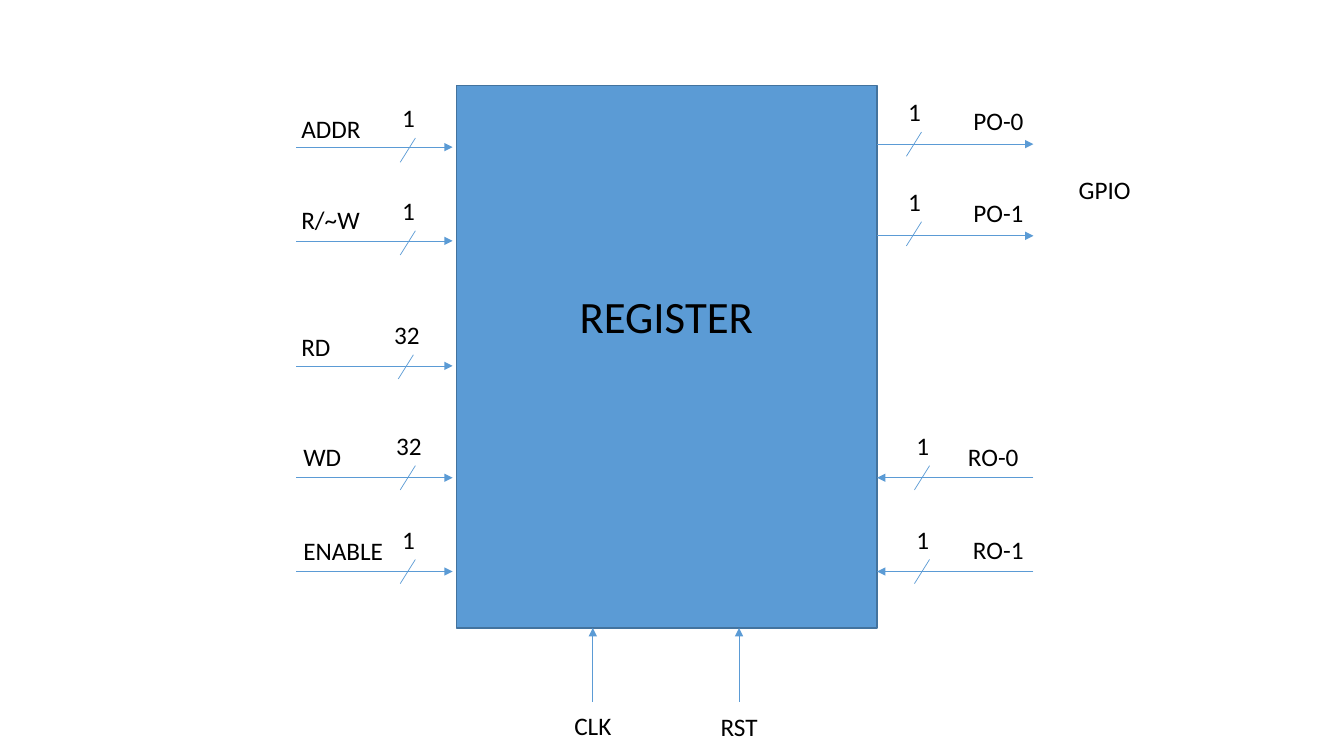
"""Build a one-slide block diagram of a register with its signal pins."""
from dataclasses import dataclass

from lxml.etree import SubElement
from pptx import Presentation
from pptx.dml.color import RGBColor
from pptx.enum.shapes import MSO_CONNECTOR as Connector, MSO_SHAPE as Shape
from pptx.enum.text import MSO_AUTO_SIZE as AutoSize, PP_ALIGN as Align
from pptx.oxml.ns import qn
from pptx.slide import Slide
from pptx.util import Inches, Pt


@dataclass(frozen=True)
class Theme:
    """Colours, font and sizes of the diagram."""
    block: RGBColor = RGBColor(0x5B, 0x9B, 0xD5)
    outline: RGBColor = RGBColor(0x43, 0x73, 0x9E)
    ink: RGBColor = RGBColor(0, 0, 0)
    font: str = "Calibri"
    label: Pt = Pt(18)
    heading: Pt = Pt(32)
    wire: Pt = Pt(0.5)
    border: Pt = Pt(1)


@dataclass(frozen=True)
class Side:
    """Horizontal run and label alignment of the wires on one side."""
    start: float
    end: float
    align: Align


@dataclass(frozen=True)
class Pin:
    """A horizontal signal with its bus-width mark, in inches."""
    name: str
    side: Side
    y: float
    label_left: float
    label_top: float
    bits: str
    slash_left: float
    slash_top: float


@dataclass(frozen=True)
class Control:
    """A vertical signal that enters the block from below, in inches."""
    name: str
    x: float
    label_top: float


THEME = Theme()
BLOCK_LEFT, BLOCK_TOP, BLOCK_WIDTH, BLOCK_HEIGHT = 4.53, 0.85, 4.17, 5.38
BLOCK_RIGHT = BLOCK_LEFT + BLOCK_WIDTH
LABEL_WIDTH, LABEL_HEIGHT = 1.21, 0.4
SLASH_WIDTH, SLASH_HEIGHT = 0.15, 0.24
BITS_RISE = 0.4
BITS_LAYOUT = {"1": (0.08, 0.43), "32": (0.14, 0.6)}

INPUT = Side(2.94, 4.49, Align.LEFT)
PORT_OUT = Side(BLOCK_RIGHT, 10.25, Align.RIGHT)
PORT_IN = Side(10.25, BLOCK_RIGHT, Align.RIGHT)

PINS = [
    Pin("ADDR", INPUT, 1.46, 2.89, 1.08, "1", 3.97, 1.37),
    Pin("R/~W", INPUT, 2.39, 2.89, 1.98, "1", 3.97, 2.29),
    Pin("RD", INPUT, 3.63, 2.89, 3.24, "32", 3.95, 3.52),
    Pin("WD", INPUT, 4.74, 2.91, 4.33, "32", 3.97, 4.62),
    Pin("ENABLE", INPUT, 5.67, 2.91, 5.26, "1", 3.97, 5.55),
    Pin("PO-0", PORT_OUT, 1.43, 9.04, 1.0, "1", 8.99, 1.31),
    Pin("PO-1", PORT_OUT, 2.34, 9.04, 1.91, "1", 8.99, 2.2),
    Pin("RO-0", PORT_IN, 4.74, 8.99, 4.33, "1", 9.07, 4.62),
    Pin("RO-1", PORT_IN, 5.67, 9.04, 5.25, "1", 9.07, 5.55),
]
CONTROLS = [Control("CLK", 5.88, 7.0), Control("RST", 7.33, 7.01)]


def apply_format(target: object, values: dict) -> None:
    """Set each named attribute on the target."""
    for name, value in values.items():
        setattr(target, name, value)


def add_label(slide: Slide, text: str, left: float, top: float,
              width: float = LABEL_WIDTH, height: float = LABEL_HEIGHT,
              align: Align = Align.LEFT, size: Pt = THEME.label) -> None:
    """Add a wrapped text label."""
    label = slide.shapes.add_textbox(
        Inches(left), Inches(top), Inches(width), Inches(height))
    frame = label.text_frame
    apply_format(frame, {"word_wrap": True, "auto_size": AutoSize.SHAPE_TO_FIT_TEXT})
    paragraph = frame.paragraphs[0]
    paragraph.alignment = align
    run = paragraph.add_run()
    run.text = text
    apply_format(run.font, {"name": THEME.font, "size": size})
    run.font.color.rgb = THEME.ink


def add_wire(slide: Slide, x1: float, y1: float, x2: float, y2: float,
             arrow: bool = True) -> None:
    """Add a thin line, with an arrowhead at its end if asked."""
    wire = slide.shapes.add_connector(
        Connector.STRAIGHT, Inches(x1), Inches(y1), Inches(x2), Inches(y2))
    wire.line.width = THEME.wire
    wire.line.color.rgb = THEME.block
    if arrow:
        SubElement(wire.line._get_or_add_ln(), qn("a:tailEnd"), type="triangle")
    SubElement(wire._element.spPr, qn("a:effectLst"))


def add_register(slide: Slide) -> None:
    """Add the register block and its heading."""
    register = slide.shapes.add_shape(
        Shape.RECTANGLE, Inches(BLOCK_LEFT), Inches(BLOCK_TOP),
        Inches(BLOCK_WIDTH), Inches(BLOCK_HEIGHT))
    register.shadow.inherit = False
    register.fill.solid()
    register.fill.fore_color.rgb = THEME.block
    register.line.color.rgb = THEME.outline
    register.line.width = THEME.border
    add_label(slide, "REGISTER", 5.59, 2.82, 2.04, 0.64, Align.CENTER, THEME.heading)


def add_pin(slide: Slide, pin: Pin) -> None:
    """Add a pin's wire, name, slash and bus width."""
    add_wire(slide, pin.side.start, pin.y, pin.side.end, pin.y)
    add_label(slide, pin.name, pin.label_left, pin.label_top, align=pin.side.align)
    add_wire(slide, pin.slash_left, pin.slash_top + SLASH_HEIGHT,
             pin.slash_left + SLASH_WIDTH, pin.slash_top, arrow=False)
    inset, width = BITS_LAYOUT[pin.bits]
    add_label(slide, pin.bits, pin.slash_left - inset, pin.slash_top - BITS_RISE, width)


def add_control(slide: Slide, control: Control) -> None:
    """Add a control wire rising into the block, with its name below."""
    add_wire(slide, control.x, 6.96, control.x, BLOCK_TOP + BLOCK_HEIGHT)
    add_label(slide, control.name, control.x - LABEL_WIDTH / 2, control.label_top,
              align=Align.CENTER)


def main() -> None:
    """Draw the diagram and save it."""
    deck = Presentation()
    apply_format(deck, {"slide_width": Inches(13.33), "slide_height": Inches(7.5)})
    slide = deck.slides.add_slide(deck.slide_layouts.get_by_name("Blank"))
    add_register(slide)
    for pin in PINS:
        add_pin(slide, pin)
    for control in CONTROLS:
        add_control(slide, control)
    add_label(slide, "GPIO", 10.6, 1.68)
    deck.save("out.pptx")


main()
